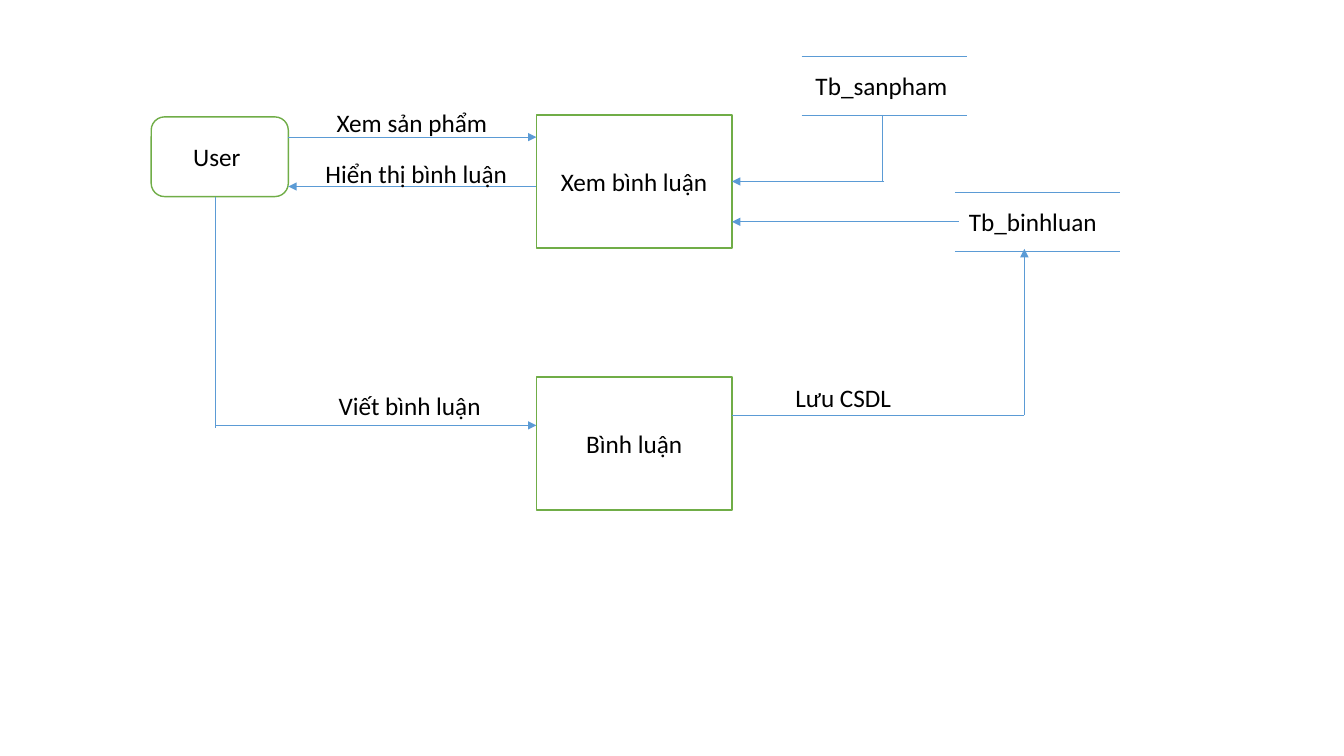
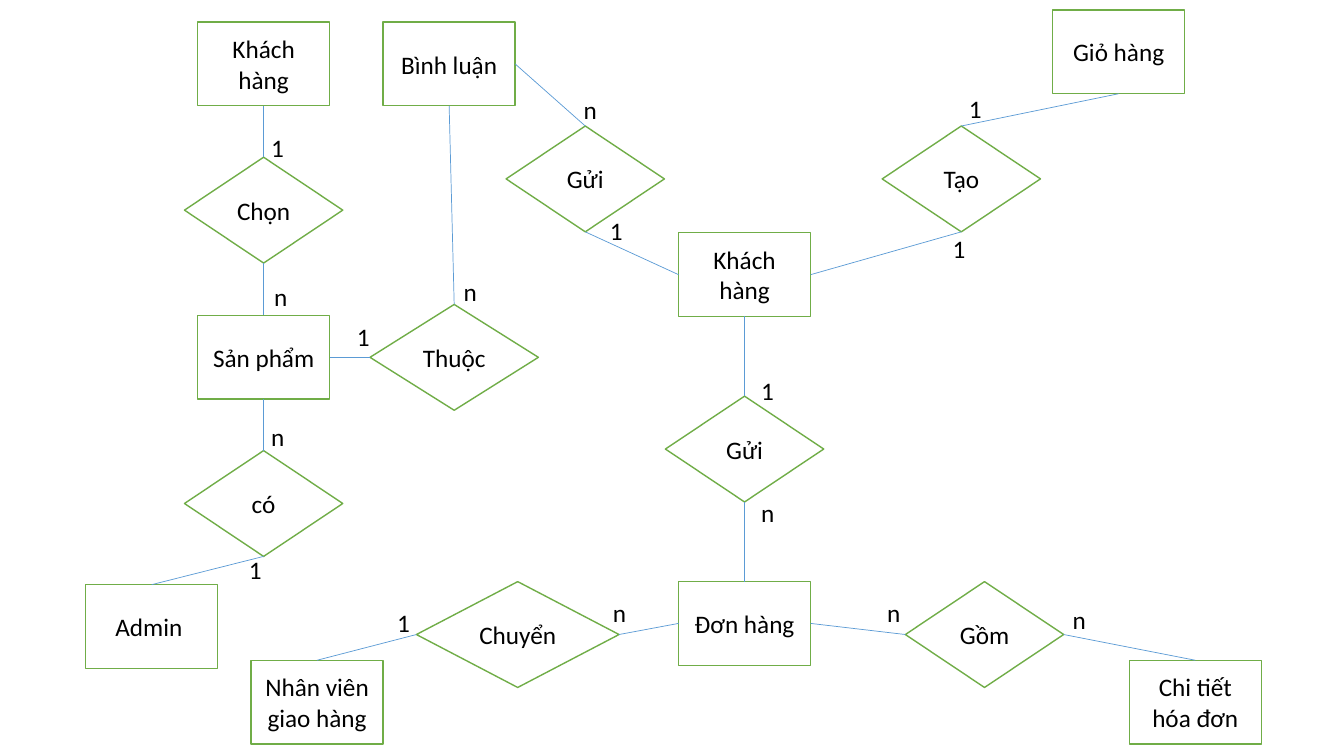
from lxml.etree import SubElement
from pptx import Presentation
from pptx.dml.color import RGBColor
from pptx.enum.shapes import MSO_CONNECTOR, MSO_SHAPE as SHAPE
from pptx.enum.text import MSO_ANCHOR, MSO_AUTO_SIZE, PP_ALIGN
from pptx.oxml.ns import qn
from pptx.util import Pt

EMU_PER_PX = 9144
BLANK_LAYOUT = 6
TOP, LEFT, BOTTOM, RIGHT = range(4)
WHITE = RGBColor(0xFF, 0xFF, 0xFF)
BLACK = RGBColor(0, 0, 0)
GREEN = RGBColor(0x70, 0xAD, 0x47)
BLUE = RGBColor(0x5B, 0x9B, 0xD5)


def px(length):
    return round(length * EMU_PER_PX)


class Diagram:
    font_name = "Calibri"
    font_size = Pt(18)

    def __init__(self):
        self.presentation = Presentation()
        self.presentation.slide_width = px(1333)
        self.presentation.slide_height = px(750)
        self.slide = None

    def new_slide(self):
        layout = self.presentation.slide_layouts[BLANK_LAYOUT]
        self.slide = self.presentation.slides.add_slide(layout)

    def set_text(self, shape, text, alignment):
        shape.text_frame.text = text
        paragraph = shape.text_frame.paragraphs[0]
        paragraph.alignment = alignment
        font = paragraph.runs[0].font
        font.name, font.size = self.font_name, self.font_size
        font.color.rgb = BLACK

    def box(self, text, left, top, width, height, kind=SHAPE.RECTANGLE):
        shape = self.slide.shapes.add_shape(kind, px(left), px(top), px(width), px(height))
        shape.shadow.inherit = False
        shape.fill.solid()
        shape.fill.fore_color.rgb = WHITE
        shape.line.color.rgb = GREEN
        shape.line.width = Pt(1)
        shape.text_frame.word_wrap = True
        shape.text_frame.vertical_anchor = MSO_ANCHOR.MIDDLE
        self.set_text(shape, text, PP_ALIGN.CENTER)
        return shape

    def process(self, text, left, top):
        return self.box(text, left, top, 194, 132)

    def entity(self, text, left, top):
        return self.box(text, left, top, 131, 83)

    def relation(self, text, left, top, width=157):
        return self.box(text, left, top, width, 105, SHAPE.FLOWCHART_DECISION)

    def label(self, text, left, top, width=32):
        shape = self.slide.shapes.add_textbox(px(left), px(top), px(width), px(40))
        shape.text_frame.word_wrap = False
        shape.text_frame.auto_size = MSO_AUTO_SIZE.SHAPE_TO_FIT_TEXT
        self.set_text(shape, text, PP_ALIGN.LEFT)
        return shape

    def store(self, text, left, top, text_width):
        for y in (top, top + 58):
            self.line((left, y), (left + 164, y))
        return self.label(text, left + 4, top + 9, text_width)

    def line(self, begin, end, arrow=False):
        connector = self.slide.shapes.add_connector(MSO_CONNECTOR.STRAIGHT, 0, 0, 0, 0)
        if isinstance(begin[0], int):
            connector.begin_x, connector.begin_y = map(px, begin)
        else:
            connector.begin_connect(*begin)
        if isinstance(end[0], int):
            connector.end_x, connector.end_y = map(px, end)
        else:
            connector.end_connect(*end)
        connector.line.color.rgb = BLUE
        connector.line.width = Pt(0.5)
        properties = connector._element.spPr
        if arrow:
            SubElement(properties.find(qn("a:ln")), qn("a:tailEnd"), type="triangle")
        SubElement(properties, qn("a:effectLst"))


def comment_flow(diagram):
    diagram.new_slide()
    diagram.box("User ", 150, 116, 136, 79, SHAPE.ROUNDED_RECTANGLE)
    view = diagram.process("Xem bình luận", 532, 114)
    diagram.process("Bình luận", 532, 374)
    diagram.store("Tb_sanpham", 795, 56, 153)
    comments = diagram.store("Tb_binhluan", 947, 191, 149)

    for begin, end in (
        ((875, 114), (875, 180)),
        ((214, 195), (214, 425)),
        ((726, 412), (1016, 412)),
    ):
        diagram.line(begin, end)
    for begin, end in (
        ((286, 136), (532, 136)),
        ((532, 185), (286, 185)),
        ((877, 180), (view, RIGHT)),
        ((comments, LEFT), (726, 220)),
        ((214, 422), (532, 422)),
        ((1016, 412), (1016, 247)),
    ):
        diagram.line(begin, end, arrow=True)

    for text, left, top, width in (
        ("Xem sản phẩm", 324, 102, 171),
        ("Hiển thị bình luận", 313, 152, 203),
        ("Viết bình luận", 326, 382, 163),
        ("Lưu CSDL", 779, 374, 117),
    ):
        diagram.label(text, left, top, width)


def entity_relations(diagram):
    diagram.new_slide()
    chooser = diagram.entity("Khách hàng", 196, 22)
    product = diagram.entity("Sản phẩm", 196, 313)
    admin = diagram.entity("Admin ", 85, 580)
    comment = diagram.entity("Bình luận", 380, 22)
    customer = diagram.entity("Khách hàng", 673, 231)
    cart = diagram.entity("Giỏ hàng", 1044, 10)
    order = diagram.entity("Đơn hàng", 673, 577)
    courier = diagram.entity("Nhân viên giao hàng", 249, 655)
    invoice = diagram.entity("Chi tiết hóa đơn", 1120, 655)

    choose = diagram.relation("Chọn", 183, 156)
    have = diagram.relation("có", 183, 447)
    belong = diagram.relation("Thuộc", 367, 302, 167)
    send_comment = diagram.relation("Gửi", 502, 125)
    create = diagram.relation("Tạo", 875, 125)
    send_order = diagram.relation("Gửi", 660, 393)
    deliver = diagram.relation("Chuyển", 413, 577, 201)
    include = diagram.relation("Gồm", 898, 577)

    for begin, end in (
        ((choose, TOP), (chooser, BOTTOM)),
        ((choose, BOTTOM), (product, TOP)),
        ((have, TOP), (product, BOTTOM)),
        ((have, BOTTOM), (admin, TOP)),
        ((belong, LEFT), (product, RIGHT)),
        ((belong, TOP), (comment, BOTTOM)),
        ((send_comment, TOP), (comment, RIGHT)),
        ((send_comment, BOTTOM), (customer, LEFT)),
        ((create, BOTTOM), (customer, RIGHT)),
        ((create, TOP), (cart, BOTTOM)),
        ((send_order, TOP), (customer, BOTTOM)),
        ((send_order, BOTTOM), (order, TOP)),
        ((deliver, RIGHT), (order, LEFT)),
        ((deliver, LEFT), (courier, TOP)),
        ((include, LEFT), (order, RIGHT)),
        ((include, RIGHT), (invoice, TOP)),
    ):
        diagram.line(begin, end)

    cardinalities = {
        "1": ((595, 209), (935, 227), (951, 88), (344, 314), (259, 126),
              (237, 545), (384, 598), (745, 367)),
        "n": ((569, 89), (262, 274), (259, 413), (745, 488), (870, 588),
              (598, 588), (1054, 595), (450, 269)),
    }
    for text, places in cardinalities.items():
        for left, top in places:
            diagram.label(text, left, top)


def main():
    diagram = Diagram()
    comment_flow(diagram)
    entity_relations(diagram)
    diagram.presentation.save("out.pptx")


if __name__ == "__main__":
    main()
